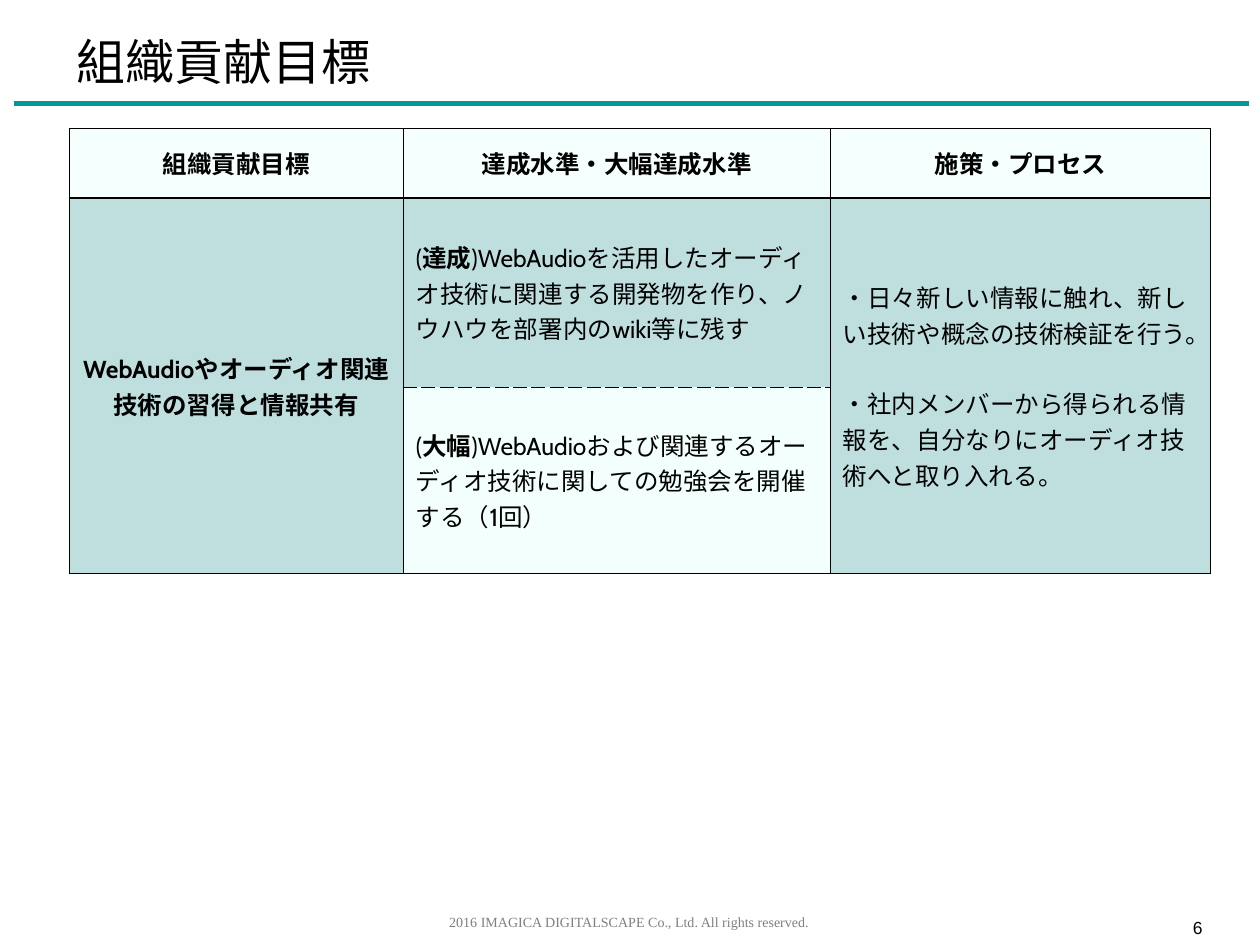
from dataclasses import dataclass

from lxml.etree import SubElement
from pptx import Presentation
from pptx.dml.color import RGBColor as Rgb
from pptx.enum.text import MSO_ANCHOR as Anchor, MSO_AUTO_SIZE as AutoSize, PP_ALIGN as Align
from pptx.oxml.ns import qn
from pptx.util import Inches, Pt


@dataclass(frozen=True)
class Theme:
    ink: str = "000000"
    muted: str = "808080"
    rule: str = "009999"
    pale: tuple = ("00FFCC", 4)
    pale_stretch: tuple = ("00FFCC", 5)
    teal: tuple = ("008080", 25)
    heading_font: str = "Cabin"
    number_font: str = "Arial"
    footer_font: str = "Times New Roman"
    title_size: float = 28
    table_size: float = 14
    number_size: float = 10
    footer_size: float = 8
    paragraph_gap: float = 20
    rule_width: float = 3
    thin: tuple = (0.45, "solid")
    header_rule: tuple = (1.08, "solid")
    dashed: tuple = (0.34, "dash")


def apply(target, values):
    for name, value in values.items():
        setattr(target, name, value)


class GoalSlide:
    def __init__(self, deck, theme):
        self.theme = theme
        self.slide = deck.slides.add_slide(deck.slide_layouts[5])

    def add_runs(self, paragraph, runs, face, size, color, align=Align.LEFT):
        paragraph.alignment = align
        for words, bold in runs:
            run = paragraph.add_run()
            run.text = words
            apply(run.font, {"name": face, "size": Pt(size), "bold": bold})
            run.font.color.rgb = Rgb.from_string(color)

    def title(self, words, box):
        heading = self.slide.shapes.title
        apply(heading, dict(zip(("left", "top", "width", "height"), map(Inches, box))))
        frame = heading.text_frame
        apply(frame, {"vertical_anchor": Anchor.MIDDLE, "auto_size": AutoSize.NONE})
        theme = self.theme
        self.add_runs(frame.paragraphs[0], [(words, False)], theme.heading_font,
                      theme.title_size, theme.ink)

    def label(self, words, box, face, size, color, align=Align.LEFT):
        frame = self.slide.shapes.add_textbox(*map(Inches, box)).text_frame
        frame.word_wrap = True
        self.add_runs(frame.paragraphs[0], [(words, False)], face, size, color, align)

    def rule(self, start, end):
        line = self.slide.shapes.add_connector(1, *map(Inches, start + end))
        line.line.color.rgb = Rgb.from_string(self.theme.rule)
        line.line.width = Pt(self.theme.rule_width)
        SubElement(line._element.spPr, qn("a:effectLst"))

    def border(self, cell, side, style):
        width, dash = style
        line = SubElement(cell._tc.get_or_add_tcPr(), qn(f"a:ln{side}"), w=str(Pt(width)))
        fill = SubElement(line, qn("a:solidFill"))
        SubElement(fill, qn("a:srgbClr"), val=self.theme.ink)
        SubElement(line, qn("a:prstDash"), val=dash)

    def tint(self, cell, tint):
        color, percent = tint
        cell.fill.solid()
        cell.fill.fore_color.rgb = Rgb.from_string(color)
        swatch = cell._tc.tcPr.find(qn("a:solidFill"))[0]
        SubElement(swatch, qn("a:alpha"), val=str(percent * 1000))

    def fill_cell(self, cell, paragraphs, align):
        theme = self.theme
        cell.vertical_anchor = Anchor.MIDDLE
        frame = cell.text_frame
        for index, runs in enumerate(paragraphs):
            paragraph = frame.add_paragraph() if index else frame.paragraphs[0]
            if index:
                paragraph.space_before = Pt(theme.paragraph_gap)
            self.add_runs(paragraph, runs, theme.heading_font, theme.table_size,
                          theme.ink, align)

    def table(self, origin, widths, heights, contents, tints, edges, merges):
        size = (sum(widths), sum(heights))
        grid = self.slide.shapes.add_table(len(heights), len(widths),
                                           *map(Inches, origin + size)).table
        apply(grid, {"first_row": False, "horz_banding": False})
        for column, width in zip(grid.columns, widths):
            column.width = Inches(width)
        for row, height in zip(grid.rows, heights):
            row.height = Inches(height)
        for r in range(len(heights)):
            for c in range(len(widths)):
                cell = grid.cell(r, c)
                sides = {"L": self.theme.thin, "R": self.theme.thin,
                         "T": edges[c][r], "B": edges[c][r + 1]}
                for side, style in sides.items():
                    self.border(cell, side, style)
                self.tint(cell, tints[r][c])
        for first, last in merges:
            grid.cell(*first).merge(grid.cell(*last))
        for (r, c), (paragraphs, align) in contents.items():
            self.fill_cell(grid.cell(r, c), paragraphs, align)


def main():
    deck = Presentation()
    apply(deck, {"slide_width": Inches(10), "slide_height": Inches(7.5)})
    theme = Theme()
    page = GoalSlide(deck, theme)

    page.label("6", (9.37, 7.23, 0.83, 0.27), theme.number_font, theme.number_size, theme.ink)
    page.rule((0.11, 0.82), (9.91, 0.82))
    page.label("2016 IMAGICA DIGITALSCAPE Co., Ltd. All rights reserved.",
               (0.12, 7.2, 9.75, 0.24), theme.footer_font, theme.footer_size,
               theme.muted, Align.CENTER)
    page.title("組織貢献目標", (0.51, 0.25, 9, 0.46))

    headers = ["組織貢献目標", "達成水準・大幅達成水準", "施策・プロセス"]
    contents = {(0, c): ([[(words, True)]], Align.CENTER) for c, words in enumerate(headers)}
    contents[1, 0] = ([[("WebAudioやオーディオ関連技術の習得と情報共有", True)]], Align.CENTER)
    levels = [
        ("達成", ")WebAudioを活用したオーディオ技術に関連する開発物を作り、ノウハウを部署内のwiki等に残す"),
        ("大幅", ")WebAudioおよび関連するオーディオ技術に関しての勉強会を開催する（1回）"),
    ]
    for r, (level, goal) in enumerate(levels, start=1):
        contents[r, 1] = ([[("(", False), (level, True), (goal, False)]], Align.LEFT)
    actions = [
        "・日々新しい情報に触れ、新しい技術や概念の技術検証を行う。",
        "・社内メンバーから得られる情報を、自分なりにオーディオ技術へと取り入れる。",
    ]
    contents[1, 2] = ([[(action, False)] for action in actions], Align.LEFT)

    merged_edges = [theme.thin, theme.header_rule, theme.thin, theme.thin]
    level_edges = [theme.thin, theme.header_rule, theme.dashed, theme.thin]
    page.table(
        origin=(0.55, 1.02),
        widths=(2.65, 3.39, 3.02),
        heights=(0.55, 1.5, 1.48),
        contents=contents,
        tints=[[theme.pale] * 3, [theme.teal] * 3,
               [theme.teal, theme.pale_stretch, theme.teal]],
        edges=[merged_edges, level_edges, merged_edges],
        merges=[((1, 0), (2, 0)), ((1, 2), (2, 2))],
    )
    deck.save("out.pptx")


if __name__ == "__main__":
    main()
